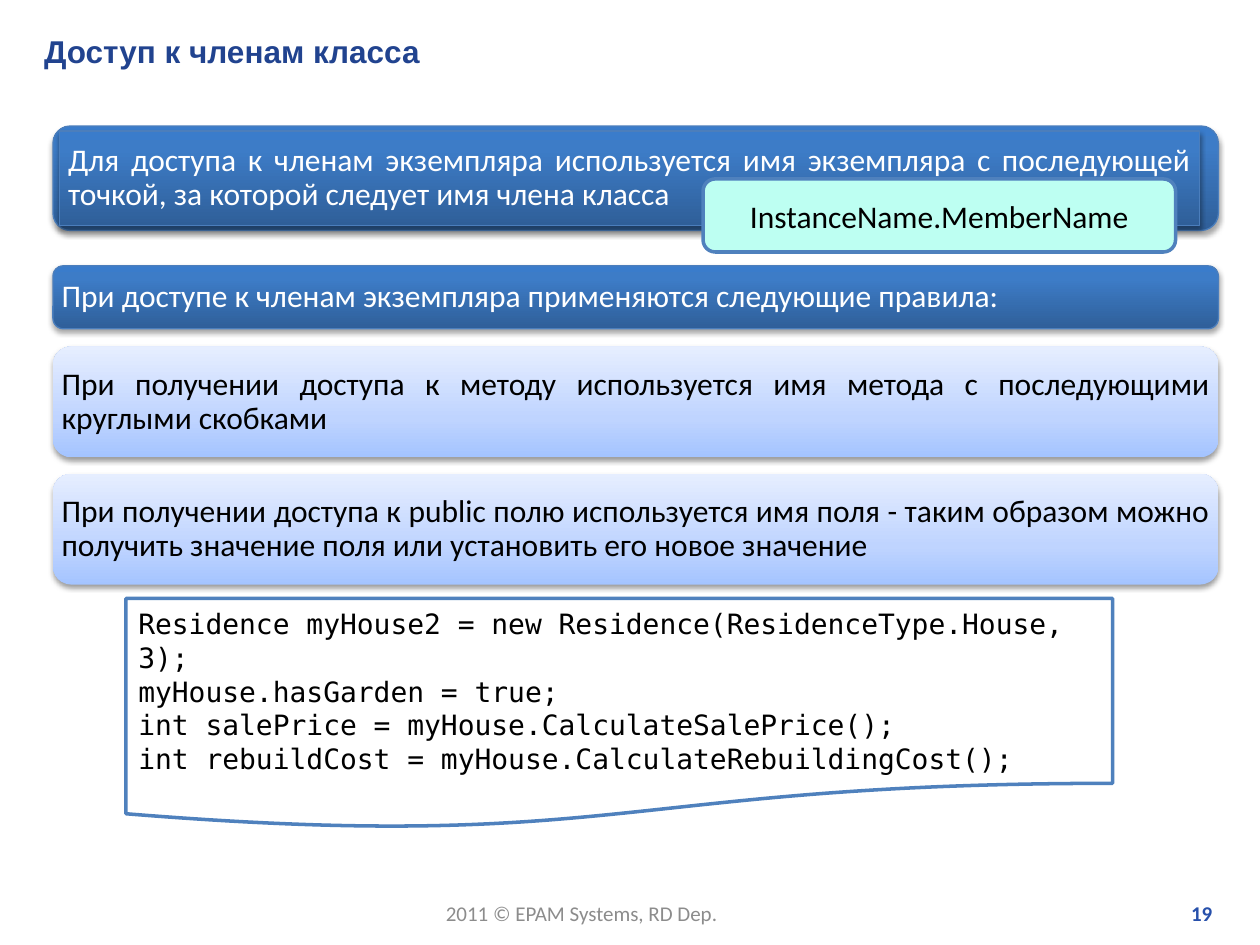
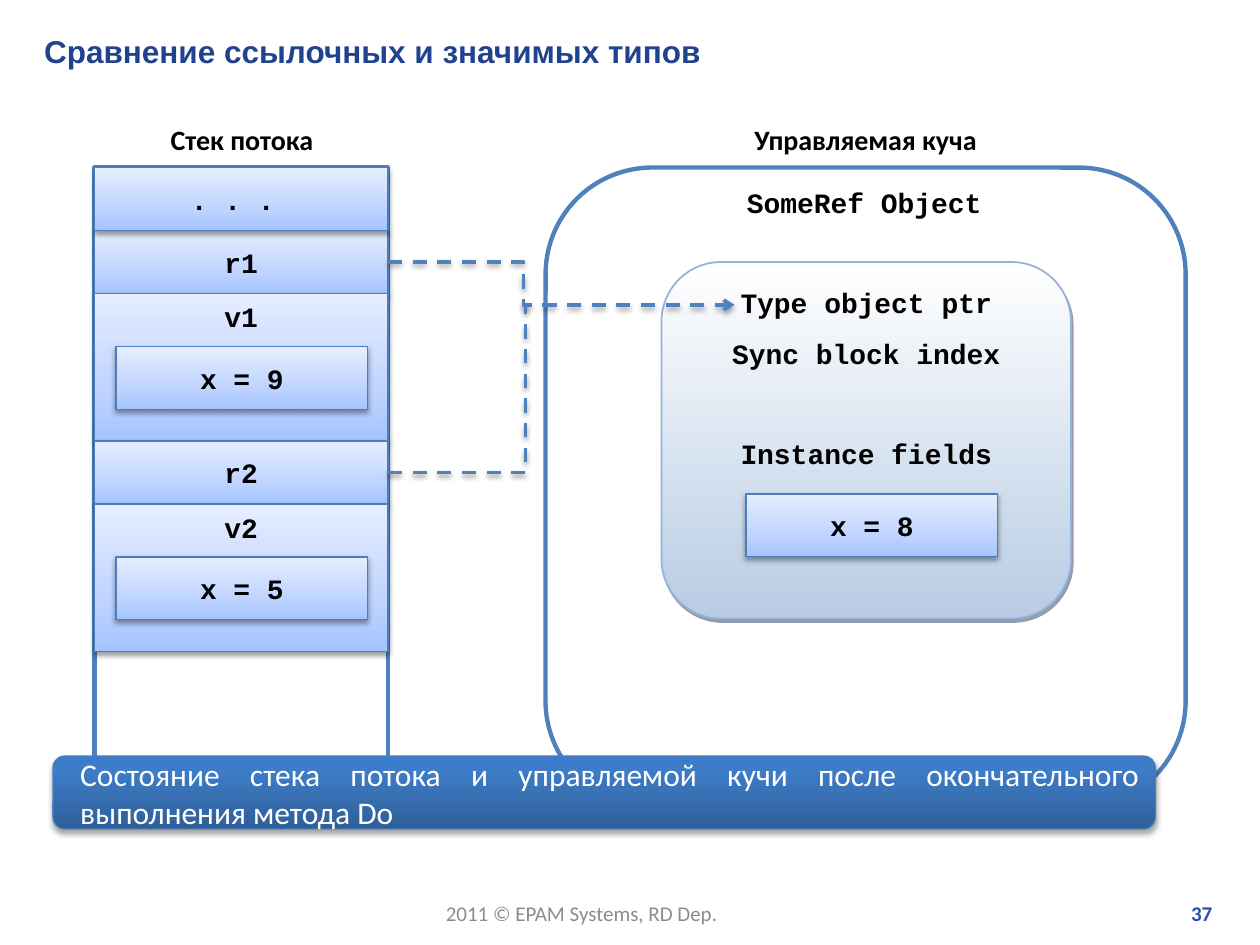
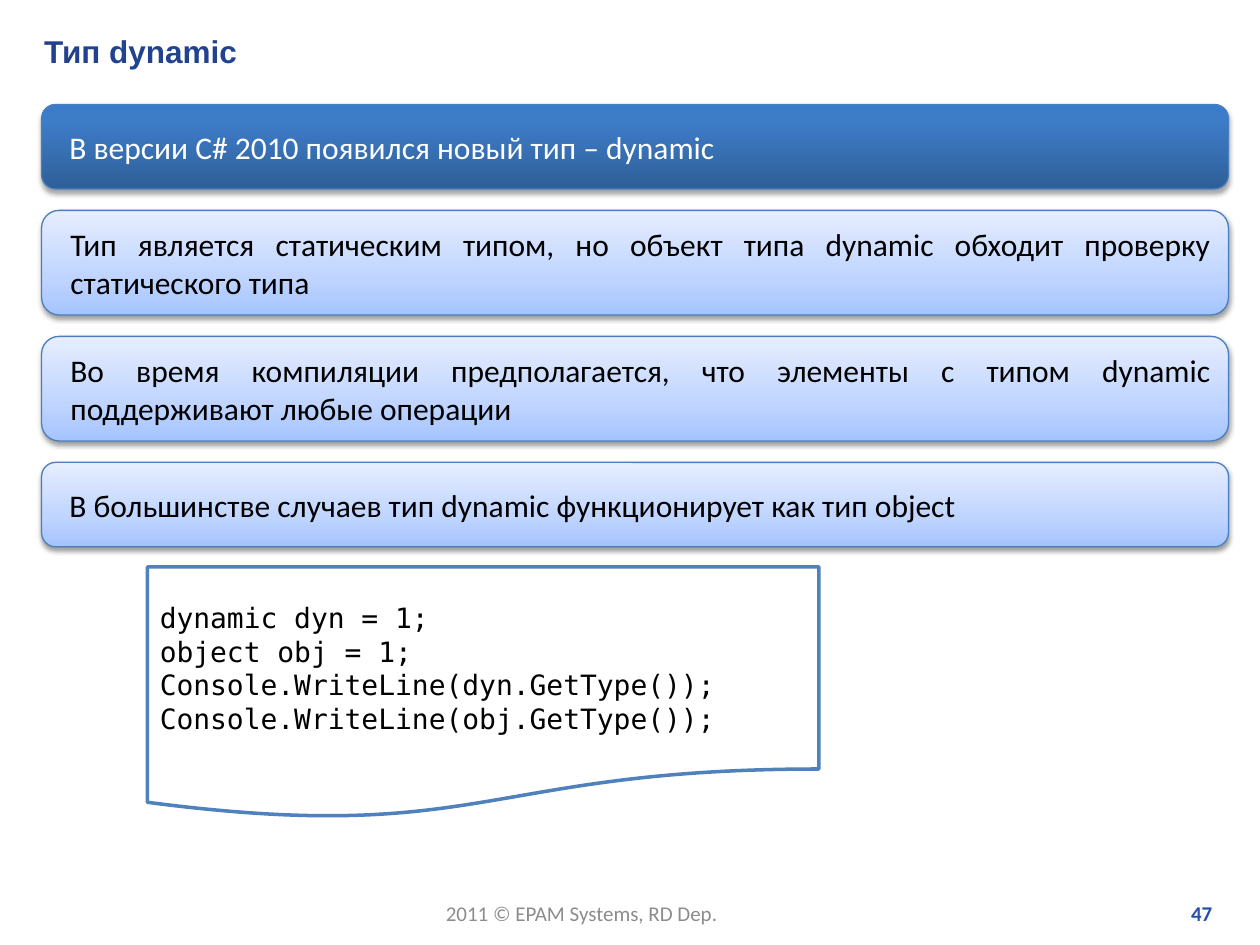
"""Builds three slides on class members, reference and value types, and dynamic."""
from lxml import etree
from pptx import Presentation
from pptx.dml.color import RGBColor
from pptx.enum.dml import MSO_LINE
from pptx.enum.shapes import MSO_CONNECTOR, MSO_SHAPE
from pptx.enum.text import MSO_ANCHOR, PP_ALIGN
from pptx.oxml.ns import qn
from pptx.util import Inches, Pt

RECT, ROUND = MSO_SHAPE.RECTANGLE, MSO_SHAPE.ROUNDED_RECTANGLE
DOCUMENT, ELBOW = MSO_SHAPE.FLOWCHART_DOCUMENT, MSO_CONNECTOR.ELBOW
LEFT, CENTER, RIGHT, JUSTIFY = PP_ALIGN.LEFT, PP_ALIGN.CENTER, PP_ALIGN.RIGHT, PP_ALIGN.JUSTIFY
TOP, MIDDLE = MSO_ANCHOR.TOP, MSO_ANCHOR.MIDDLE
DASH = MSO_LINE.DASH

BLACK, WHITE, BLUE = "000000", "FFFFFF", "4F81BD"
TITLE_COLOR, FOOTER_COLOR, NUMBER_COLOR = "21438F", "8C8C8C", "2750AB"
SANS, TITLE_FONT, MONO, CODE = "Calibri", "Arial", "Courier New", "DejaVu Sans Mono"
FOOTER = "2011 © EPAM Systems, RD Dep."

LIGHT_SHADOW = (BLACK, 38, 3.1, 1.6, 90)
LIGHT_STOPS = [(0, "A4C4FF"), (35, "BFD4FF"), (100, "E6EEFF")]
DARK = dict(fill=[(0, "2F5F99"), (80, "3D7CC7"), (100, "3A7CCB")], line=("4B7EBC", 0.75),
            shadow=(BLACK, 35, 3.1, 1.8, 90))
LIGHT = dict(fill=LIGHT_STOPS, line=("4B7EBC", 0.75), shadow=LIGHT_SHADOW)
LIGHT_PLAIN = dict(fill=LIGHT_STOPS, shadow=LIGHT_SHADOW)
PAPER = dict(fill=WHITE, line=(BLUE, 2))
FRAME = dict(fill=WHITE, line=(BLUE, 2.5))
MINT = dict(fill="BDFFF2", line=(BLUE, 2))
OBJECT = dict(fill=[(0, WHITE), (100, "B8CCE4")], angle=90, line=("95B3D7", 1),
              shadow=("243F60", 50, 0, 2.2, 63))
PLAIN = dict(fill=WHITE)

BODY = dict(size=18, align=JUSTIFY, anchor=MIDDLE)
LISTING = dict(font=CODE, size=16, anchor=MIDDLE)
LABEL = dict(size=16, bold=True, align=CENTER, after=10)
CELL = dict(LABEL, font=MONO, anchor=MIDDLE)

ACCESS = dict(
    title="Доступ к членам класса", number="19",
    lead="Для доступа к членам экземпляра используется имя экземпляра с последующей точкой, "
         "за которой следует имя члена класса",
    syntax="InstanceName.MemberName",
    bands=[
        (2.11, 0.5, DARK, "При доступе к членам экземпляра применяются следующие правила:"),
        (2.75, 0.88, LIGHT_PLAIN, "При получении доступа к методу используется имя метода "
                                  "с последующими круглыми скобками"),
        (3.76, 0.88, LIGHT_PLAIN, "При получении доступа к public полю используется имя поля - таким "
                                  "образом можно получить значение поля или установить его новое значение"),
    ],
    code=["Residence myHouse2 = new Residence(ResidenceType.House, 3);",
          "myHouse.hasGarden = true;",
          "int salePrice = myHouse.CalculateSalePrice();",
          "int rebuildCost = myHouse.CalculateRebuildingCost();"])

COMPARE = dict(
    title="Сравнение ссылочных и значимых типов", number="37",
    stack="Стек потока", heap="Управляемая куча", ref="SomeRef Object",
    rows=[(". . . ", None), ("r1", None), ("v1", "x = 9"), ("r2", None), ("v2", "x = 5")],
    object=["Type object ptr", "Sync block index", "Instance fields"], field="x = 8",
    summary="Состояние стека потока и управляемой кучи после окончательного выполнения метода Do")

DYNAMIC = dict(
    title="Тип dynamic", number="47",
    bands=[
        (0.67, DARK, "В версии C# 2010 появился новый тип – dynamic"),
        (0.83, LIGHT, "Тип является статическим типом, но объект типа dynamic обходит "
                      "проверку статического типа"),
        (0.83, LIGHT, "Во время компиляции предполагается, что элементы с типом dynamic "
                      "поддерживают любые операции"),
        (0.67, LIGHT, "В большинстве случаев тип dynamic функционирует как тип object"),
    ],
    code=["dynamic dyn = 1;", "object obj = 1;",
          "Console.WriteLine(dyn.GetType());", "Console.WriteLine(obj.GetType());"])


def rgb(value):
    """Turn a hex string into a colour."""
    return RGBColor.from_string(value)


def add(parent, tag, **attrs):
    """Append a drawing element with attributes."""
    child = etree.SubElement(parent, qn(tag))
    for name, value in attrs.items():
        child.set(name, str(value))
    return child


def add_shadow(effects, color, alpha, blur, dist, angle):
    """Add an outer shadow to an effect list."""
    shadow = add(effects, "a:outerShdw", blurRad=int(Pt(blur)), dist=int(Pt(dist)),
                 dir=angle * 60000, rotWithShape=0)
    add(add(shadow, "a:srgbClr", val=color), "a:alpha", val=alpha * 1000)


def paint(sp, fill, line=None, shadow=None, angle=270):
    """Give a shape its fill, outline and shadow."""
    sp.fill.solid()
    if isinstance(fill, str):
        sp.fill.fore_color.rgb = rgb(fill)
    else:
        spPr = sp.element.spPr
        grad = etree.Element(qn("a:gradFill"), rotWithShape="1")
        stops = add(grad, "a:gsLst")
        for pos, color in fill:
            add(add(stops, "a:gs", pos=pos * 1000), "a:srgbClr", val=color)
        add(grad, "a:lin", ang=angle * 60000, scaled=0)
        spPr.replace(spPr.find(qn("a:solidFill")), grad)
    if line:
        sp.line.color.rgb = rgb(line[0])
        sp.line.width = Pt(line[1])
    else:
        sp.line.fill.background()
    sp.shadow.inherit = False
    if shadow:
        add_shadow(sp.element.spPr.find(qn("a:effectLst")), *shadow)


def write(sp, text, font=SANS, size=12, color=BLACK, bold=False, align=LEFT, anchor=TOP,
          after=0, spacing=None, indent=0, margin=None, wrap=True):
    """Set and format the text of a shape."""
    tf = sp.text_frame
    tf.text = text if isinstance(text, str) else "\n".join(text)
    tf.word_wrap = wrap
    tf.vertical_anchor = anchor
    if margin is not None:
        tf.margin_left = tf.margin_top = tf.margin_right = tf.margin_bottom = Inches(margin)
    for p in tf.paragraphs:
        p.alignment = align
        p.space_after = Pt(after)
        if spacing:
            p.line_spacing = spacing
        if indent:
            p._p.get_or_add_pPr().set("marL", str(int(Inches(indent))))
        for r in p.runs:
            r.font.name, r.font.size, r.font.bold = font, Pt(size), bold
            r.font.color.rgb = rgb(color)


def add_box(s, kind, at, look, text=None, **style):
    """Add a preset shape with an optional text."""
    sp = s.shapes.add_shape(kind, *map(Inches, at))
    paint(sp, **look)
    if text:
        write(sp, text, **style)
    return sp


def add_text(s, at, text, **style):
    """Add a text box."""
    write(s.shapes.add_textbox(*map(Inches, at)), text, **style)


def add_band(s, at, look, text, **style):
    """Add a rounded band whose text colour follows its fill."""
    add_box(s, ROUND, at, look, text, color=WHITE if look is DARK else BLACK, **BODY, **style)


def add_link(s, source, start, end):
    """Add a dashed elbow connector leaving the right side of a cell."""
    link = s.shapes.add_connector(ELBOW, *map(Inches, start + end))
    link.begin_connect(source, 3)
    link.line.color.rgb = rgb(BLUE)
    link.line.width = Pt(2)
    link.line.dash_style = DASH
    add_shadow(add(link._element.spPr, "a:effectLst"), *LIGHT_SHADOW)
    return link


def add_slide(prs, content):
    """Add a slide with title, footer and number."""
    s = prs.slides.add_slide(prs.slide_layouts[5])
    add_text(s, (3.44, 7.1, 2.39, 0.3), FOOTER, color=FOOTER_COLOR, wrap=False)
    add_text(s, (7.6, 7.1, 2.12, 0.3), content["number"], color=NUMBER_COLOR, bold=True, align=RIGHT)
    title = s.shapes.title
    title.left, title.top, title.width, title.height = map(Inches, (0.25, 0.2, 9.54, 0.4))
    write(title, content["title"], font=TITLE_FONT, size=18, color=TITLE_COLOR, bold=True, anchor=MIDDLE)
    return s


def build_access(prs):
    """Build the slide on member access."""
    s = add_slide(prs, ACCESS)
    for top, height, look, text in ACCESS["bands"]:
        corner = height * 0.05
        add_band(s, (0.42, top, 9.25, height), look, text, spacing=0.9, margin=0.07 - corner)
    add_box(s, ROUND, (0.42, 1, 9.25, 0.83), DARK)
    add_box(s, RECT, (0.47, 1.04, 9.05, 0.75), DARK, ACCESS["lead"], color=WHITE, spacing=0.9,
            margin=0.07, **BODY)
    add_box(s, DOCUMENT, (1, 4.75, 7.83, 1.83), PAPER, ACCESS["code"], **LISTING)
    add_box(s, ROUND, (5.58, 1.42, 3.75, 0.58), MINT, ACCESS["syntax"], size=18, align=CENTER,
            anchor=MIDDLE)


def build_compare(prs):
    """Build the slide with the thread stack and the managed heap."""
    s = add_slide(prs, COMPARE)
    left, top, width = 0.75, 1.33, 2.33
    add_box(s, RECT, (left, top, width, 5.08), FRAME)
    add_box(s, RECT, (1.17, 0.92, 1.5, 0.33), PLAIN, COMPARE["stack"], **LABEL)
    add_box(s, RECT, (5.58, 0.92, 2.58, 0.33), PLAIN, COMPARE["heap"], **LABEL)
    add_box(s, ROUND, (4.33, top, 5.08, 5.08), FRAME)
    add_band(s, (0.42, 6, 8.75, 0.58), DARK, COMPARE["summary"], indent=0.09)
    add_box(s, RECT, (5.83, 1.42, 2.08, 0.42), PLAIN, COMPARE["ref"], **dict(CELL, align=LEFT, anchor=TOP))

    placed = []
    for name, value in COMPARE["rows"]:
        height = 1.17 if value else 0.5
        placed.append((name, value, top, height))
        top += height
    cells = {}
    for name, value, y, height in placed[1:] + placed[:1]:
        style = dict(CELL, anchor=TOP if value else MIDDLE)
        cells[name] = add_box(s, RECT, (left, y, width, height), LIGHT, name, **style)
        if value:
            add_box(s, RECT, (left + 0.17, y + 0.42, 2, 0.5), LIGHT, value, **CELL)

    instance = add_box(s, ROUND, (5.25, 2.08, 3.25, 2.83), OBJECT, COMPARE["object"],
                       **dict(CELL, anchor=TOP))
    instance.text_frame.paragraphs[1].space_after = Pt(38)
    add_box(s, RECT, (5.92, 3.92, 2, 0.5), LIGHT, COMPARE["field"], **CELL)

    pointer = add_link(s, cells["r1"], (left + width, 2.08), (5.83, 2.42))
    add(pointer.line._get_or_add_ln(), "a:tailEnd", type="arrow")
    geometry = pointer._element.spPr.find(qn("a:prstGeom"))
    add(geometry.find(qn("a:avLst")), "a:gd", name="adj1", fmla="val 39100")
    branch = add_link(s, cells["r2"], (left + width, 3.75), (4.17, 2.42))
    branch._element.spPr.find(qn("a:prstGeom")).set("prst", "bentConnector2")


def build_dynamic(prs):
    """Build the slide on the dynamic type."""
    s = add_slide(prs, DYNAMIC)
    top = 0.83
    for height, look, text in DYNAMIC["bands"]:
        add_band(s, (0.33, top, 9.42, height), look, text, indent=0.09)
        top += height + 0.17
    add_box(s, DOCUMENT, (1.17, 4.5, 5.33, 2), PAPER, DYNAMIC["code"], **LISTING)


def main():
    """Build and save the presentation."""
    prs = Presentation()
    prs.slide_width, prs.slide_height = Inches(10), Inches(7.5)
    build_access(prs)
    build_compare(prs)
    build_dynamic(prs)
    prs.save("out.pptx")


if __name__ == "__main__":
    main()
